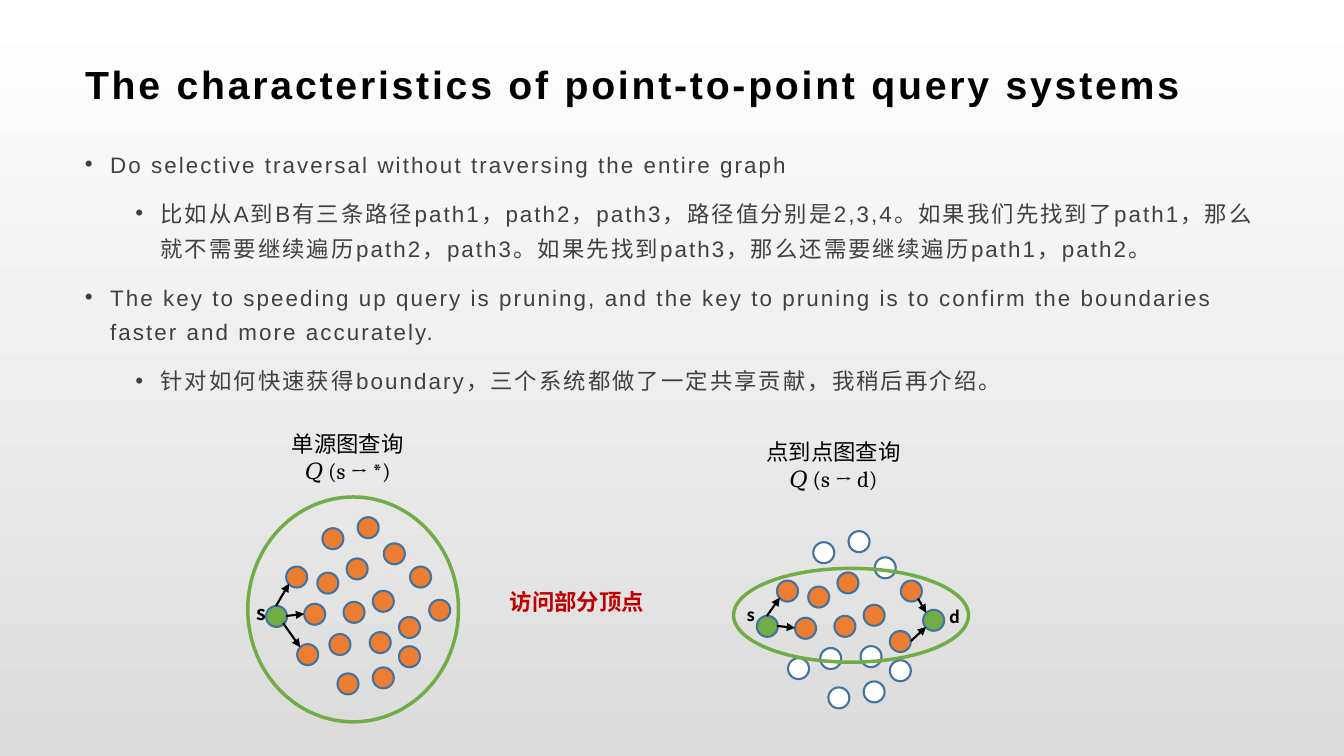
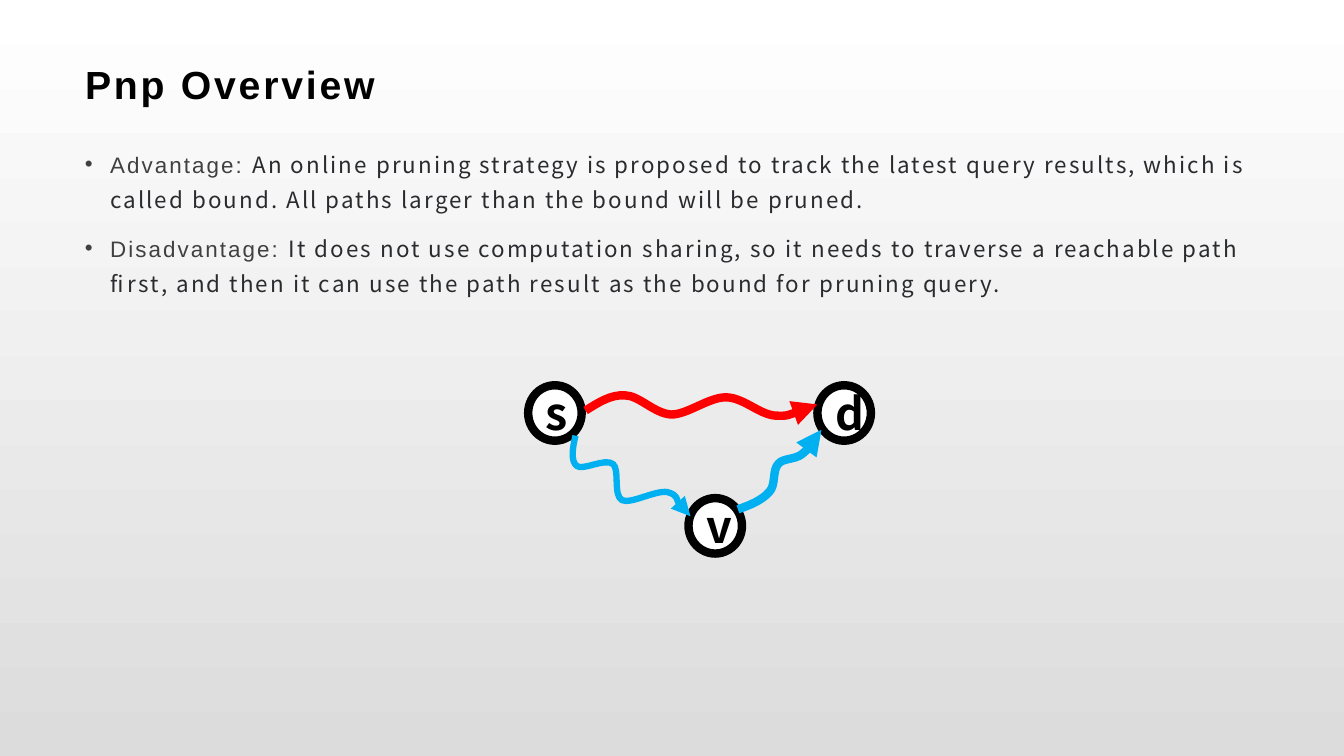
from lxml import etree
from pptx import Presentation
from pptx.dml.color import RGBColor
from pptx.enum import shapes, text
from pptx.oxml.ns import qn
from pptx.util import Pt

INK, BODY_GREY, BODY_DARK = "000000", "404040", "2A2B2E"
ORANGE, GREEN, WHITE, DOT_EDGE = "ED7D31", "70AD47", "FFFFFF", "43739E"
RED, SKY, CRIMSON = "FF0000", "00B0F0", "C00000"
LATIN, CJK, MATH = "Arial", "Noto Sans CJK SC", "Cambria"

TITLE_BOX = (52.9, 34.4, 854.6, 51.1)
BODY_BOX = (52.8, 102, 854.6, 396.7)
DOT = 15

# Vertices of the query graph, relative to its box
SOURCE, NEAR_SOURCE = (13, 77.8), (13, 74.9)
TARGET = (131.8, 70.6)
FAR_RIGHT = (129.6, 73.4)
NEAR = [(49.7, 54), (70.6, 43.9), (89.3, 67), (68.4, 74.9), (108, 85.7),
        (115.9, 49.7), (27.4, 49.7), (40.3, 76.3)]
REMOTE = [(53.3, 22.3), (97.2, 33.1), (87.1, 96.5), (58.3, 97.9), (35.3, 105.1),
          (64.1, 126), (108, 106.6), (78.5, 14.4), (89.3, 121.7)]

# Wavy paths of the overview, as start point and Bezier control points
S_TO_V = [(33.8, 36), (31.7, 44.6), (30.2, 54), (34.6, 57.6), (38.9, 61.2),
          (54.7, 51.8), (60.5, 56.2), (65.5, 59.8), (60.5, 78.5), (67, 82.1),
          (73.4, 85), (90.7, 74.9), (99.4, 76.3), (107.3, 78.5),
          (110.2, 94.3), (115.9, 93.6)]
V_TO_D = [(149.8, 88.6), (158.4, 85.7), (167, 82.1), (172.1, 76.3),
          (177.1, 71.3), (174.2, 61.2), (178.6, 56.2), (182.2, 51.8),
          (190.8, 53.3), (195.8, 49), (200.9, 44.6), (208.8, 34.6), (209.5, 31.7)]
S_TO_D = [(41, 18), (50.4, 12.2), (59, 6.5), (69.1, 7.2), (79.2, 7.2),
          (90, 20.2), (102.2, 20.9), (113.8, 20.9), (128.9, 8.6), (141.1, 8.6),
          (153.4, 8.6), (164.2, 20.2), (175.7, 21.6), (186.5, 22.3),
          (202.3, 15.8), (206.6, 13.7)]


def rgb(value):
    return RGBColor.from_string(value)


def pts(*lengths):
    return [Pt(length) for length in lengths]


# Text
def format_run(run, size, font, color, bold=False, spacing=0):
    run.font.size = Pt(size)
    run.font.color.rgb = rgb(color)
    run.font.bold = bold
    run.font.name = font
    props = run._r.get_or_add_rPr()
    etree.SubElement(props, qn("a:ea")).set("typeface", CJK)
    if spacing:
        props.set("spc", str(int(spacing * 100)))


def add_frame(slide, box, insets=(7.2, 3.6, 7.2, 3.6), wrap=True):
    frame = slide.shapes.add_textbox(*pts(*box)).text_frame
    frame.word_wrap = wrap
    (frame.margin_left, frame.margin_top,
     frame.margin_right, frame.margin_bottom) = pts(*insets)
    return frame


def add_label(slide, box, label, size, color=INK, wrap=False):
    frame = add_frame(slide, box, wrap=wrap)
    frame.text = label
    format_run(frame.paragraphs[0].runs[0], size, CJK, color, bold=True)


def add_caption(slide, box, heading, formula):
    frame = add_frame(slide, box)
    frame.text = f"{heading}\n{formula}"
    for line, font in zip(frame.paragraphs, (CJK, MATH)):
        line.alignment = text.PP_ALIGN.CENTER
        format_run(line.runs[0], 16, font, INK)


def add_title(slide, title):
    frame = add_frame(slide, TITLE_BOX, (7.9, 2.9, 5.8, 2.9))
    frame.vertical_anchor = text.MSO_ANCHOR.MIDDLE
    frame.text = title
    format_run(frame.paragraphs[0].runs[0], 28, LATIN, INK, True, 2)


def add_body(slide, bullets):
    """Each bullet is a level and a list of (text, font, colour)."""
    frame = add_frame(slide, BODY_BOX, (7.9, 0, 6.5, 0))
    for index, (level, pieces) in enumerate(bullets):
        bullet = frame.add_paragraph() if index else frame.paragraphs[0]
        bullet.level = level
        bullet.line_spacing = 1.3
        bullet.space_after = Pt(10)
        props = bullet._p.get_or_add_pPr()
        props.set("marL", str(Pt(18 + 36 * level)))
        props.set("indent", str(Pt(-18)))
        etree.SubElement(props, qn("a:buFont")).set("typeface", LATIN)
        etree.SubElement(props, qn("a:buChar")).set("char", "•")
        for words, font, color in pieces:
            run = bullet.add_run()
            run.text = words
            format_run(run, 16, font, color, spacing=1.5)


# Shapes and lines
def add_ellipse(slide, box, fill, edge, width):
    ellipse = slide.shapes.add_shape(shapes.MSO_SHAPE.OVAL, *pts(*box))
    ellipse.shadow.inherit = False
    if fill:
        ellipse.fill.solid()
        ellipse.fill.fore_color.rgb = rgb(fill)
    else:
        ellipse.fill.background()
    ellipse.line.color.rgb = rgb(edge)
    ellipse.line.width = Pt(width)
    return ellipse


def style_arrow(arrow, color, width):
    arrow.line.color.rgb = rgb(color)
    arrow.line.width = Pt(width)
    outline = arrow.element.spPr.find(qn("a:ln"))
    etree.SubElement(outline, qn("a:tailEnd")).set("type", "triangle")


def add_edge(slide, start, end):
    edge = slide.shapes.add_connector(shapes.MSO_CONNECTOR.STRAIGHT,
                                      *pts(*start, *end))
    style_arrow(edge, INK, 1.5)
    etree.SubElement(edge.element.spPr, qn("a:effectLst"))


def curve_segments(freeform):
    """Turn every three line segments into one cubic curve."""
    outline = freeform.element.find(".//" + qn("a:path"))
    segments = outline.findall(qn("a:lnTo"))
    for first in range(0, len(segments), 3):
        curve = etree.SubElement(outline, qn("a:cubicBezTo"))
        for segment in segments[first:first + 3]:
            curve.append(segment[0])
            outline.remove(segment)


def add_wave(slide, controls, color, width):
    builder = slide.shapes.build_freeform(*pts(*controls[0]))
    builder.add_line_segments([pts(*point) for point in controls[1:]], close=False)
    wave = builder.convert_to_shape()
    curve_segments(wave)
    wave.shadow.inherit = False
    wave.fill.background()
    style_arrow(wave, color, width)


# Diagrams
def add_query_graph(slide, left, top, vertices, ring, edges, labels, size):
    """vertices lists (fill, positions); all parts are relative to left, top."""
    for fill, positions in vertices:
        for x, y in positions:
            add_ellipse(slide, (left + x, top + y, DOT, DOT), fill, DOT_EDGE, 1.5)
    x, y, width, height = ring
    add_ellipse(slide, (left + x, top + y, width, height), None, GREEN, 2.5)
    for x1, y1, x2, y2 in edges:
        add_edge(slide, (left + x1, top + y1), (left + x2, top + y2))
    for name, x, y in labels:
        add_label(slide, (left + x, top + y, 21.6, 24), name, size)


def add_path_graph(slide, left, top):
    for name, x, y in (("s", 0, 0), ("v", 114.5, 80.6), ("d", 206.6, 0)):
        node = add_ellipse(slide, (left + x, top + y, 38.2, 39.6), WHITE, INK, 6)
        frame = node.text_frame
        frame.text = name
        frame.vertical_anchor = text.MSO_ANCHOR.MIDDLE
        frame.paragraphs[0].alignment = text.PP_ALIGN.CENTER
        format_run(frame.paragraphs[0].runs[0], 32, CJK, INK, bold=True)
    for controls, color, width in ((S_TO_V, SKY, 4.5), (V_TO_D, SKY, 6),
                                   (S_TO_D, RED, 6)):
        add_wave(slide, [(left + x, top + y) for x, y in controls], color, width)


# Slides
def add_slide(prs, title, bullets):
    slide = prs.slides.add_slide(prs.slide_layouts[6])
    add_title(slide, title)
    add_body(slide, bullets)
    return slide


def build_characteristics(prs):
    bullets = [
        (0, "Do selective traversal without traversing the entire graph"),
        (1, "比如从A到B有三条路径path1，path2，path3，路径值分别是2,3,4。"
            "如果我们先找到了path1，那么就不需要继续遍历path2，path3。"
            "如果先找到path3，那么还需要继续遍历path1，path2。"),
        (0, "The key to speeding up query is pruning, and the key to pruning is "
            "to confirm the boundaries faster and more accurately."),
        (1, "针对如何快速获得boundary，三个系统都做了一定共享贡献，我稍后再介绍。"),
    ]
    slide = add_slide(prs, "The characteristics of point-to-point query systems",
                      [(level, [(words, LATIN, BODY_GREY)])
                       for level, words in bullets])

    # Single-source query: every vertex is visited
    add_caption(slide, (171.4, 303.8, 154.1, 46.1), "单源图查询", "𝑄 (s → *)")
    add_query_graph(
        slide, 177, 355,
        vertices=[(ORANGE, NEAR + REMOTE + [FAR_RIGHT]), (GREEN, [SOURCE])],
        ring=(0, 0, 150.5, 160.6),
        edges=[(20.2, 77.8, 29.5, 61.9), (27.4, 85, 40.3, 83.5),
               (25.2, 90, 37.4, 107.3)],
        labels=[("s", -0.7, 70.6)], size=14)

    # Point-to-point query: only the near vertices are visited
    add_caption(slide, (505.4, 309.6, 180, 46.1), "点到点图查询", "𝑄 (s → d)")
    add_query_graph(
        slide, 527.6, 365,
        vertices=[(ORANGE, NEAR), (WHITE, REMOTE), (GREEN, [NEAR_SOURCE, TARGET])],
        ring=(-3.6, 41, 167.8, 67),
        edges=[(20.2, 74.9, 29.5, 61.9), (27.4, 82.1, 40.3, 83.5),
               (128.2, 62.6, 133.9, 72.7), (123.1, 92.9, 133.9, 82.8)],
        labels=[("s", -1.4, 63.4), ("d", 143.3, 64.8)], size=12)

    add_label(slide, (357.1, 416.9, 119.5, 26.6), "访问部分顶点", 16, CRIMSON, True)


def build_overview(prs):
    points = [
        ("Advantage: ",
         "An online pruning strategy is proposed to track the latest query "
         "results, which is called bound. All paths larger than the bound will "
         "be pruned."),
        ("Disadvantage: ",
         "It does not use computation sharing, so it needs to traverse a "
         "reachable path first, and then it can use the path result as the "
         "bound for pruning query."),
    ]
    slide = add_slide(prs, "Pnp Overview",
                      [(0, [(lead, LATIN, BODY_GREY), (detail, CJK, BODY_DARK)])
                       for lead, detail in points])
    add_path_graph(slide, 377.3, 275.2)


def main():
    prs = Presentation()
    prs.slide_width, prs.slide_height = pts(960, 540)

    # Shared background
    backdrop = prs.slide_master.background.fill
    backdrop.gradient()
    backdrop.gradient_angle = 270
    for stop, color in zip(backdrop.gradient_stops, (WHITE, "DCDCDC")):
        stop.color.rgb = rgb(color)

    build_characteristics(prs)
    build_overview(prs)
    prs.save("out.pptx")


if __name__ == "__main__":
    main()
